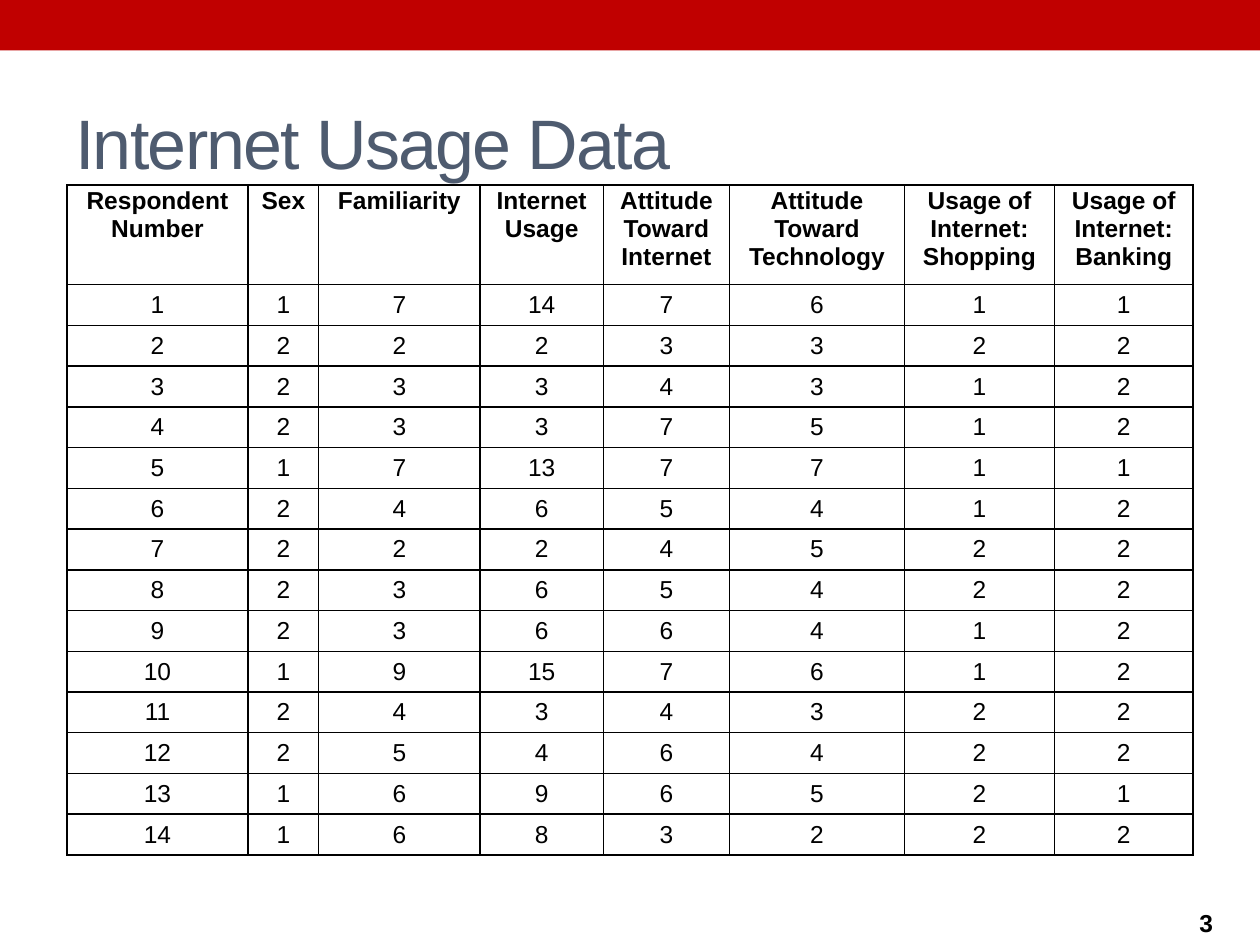
from pptx import Presentation
from pptx.dml.color import RGBColor
from pptx.enum.shapes import MSO_SHAPE
from pptx.enum.text import MSO_ANCHOR, PP_ALIGN
from pptx.oxml import parse_xml
from pptx.oxml.ns import nsdecls
from pptx.util import Inches, Pt

RECTANGLE = MSO_SHAPE.RECTANGLE
MIDDLE, TOP = MSO_ANCHOR.MIDDLE, MSO_ANCHOR.TOP
CENTER = PP_ALIGN.CENTER

RED = RGBColor(0xC0, 0x00, 0x00)
SLATE = RGBColor(0x4E, 0x5B, 0x6F)
BLACK = RGBColor(0x00, 0x00, 0x00)

TABLE_HEIGHT, HEADER_HEIGHT = 5.32, 0.79
COLUMN_WIDTHS = [1.44, 0.56, 1.28, 0.98, 1, 1.39, 1.19, 1.1]
HEADINGS = [
    "Respondent\nNumber", "Sex", "Familiarity", "Internet\nUsage",
    "Attitude\nToward\nInternet", "Attitude\nToward\nTechnology",
    "Usage of\nInternet:\nShopping", "Usage of\nInternet:\nBanking",
]
# One row per respondent, numbered from 1
ANSWERS = [
    (1, 7, 14, 7, 6, 1, 1),
    (2, 2, 2, 3, 3, 2, 2),
    (2, 3, 3, 4, 3, 1, 2),
    (2, 3, 3, 7, 5, 1, 2),
    (1, 7, 13, 7, 7, 1, 1),
    (2, 4, 6, 5, 4, 1, 2),
    (2, 2, 2, 4, 5, 2, 2),
    (2, 3, 6, 5, 4, 2, 2),
    (2, 3, 6, 6, 4, 1, 2),
    (1, 9, 15, 7, 6, 1, 2),
    (2, 4, 3, 4, 3, 2, 2),
    (2, 5, 4, 6, 4, 2, 2),
    (1, 6, 9, 6, 5, 2, 1),
    (1, 6, 8, 3, 2, 2, 2),
]


def set_all(target, values):
    for name, value in values.items():
        setattr(target, name, value)


class SlideBuilder:
    font_name = "Arial"
    cell_format = {
        "margin_left": Inches(0.05), "margin_right": Inches(0.05),
        "margin_top": Inches(0.02), "margin_bottom": Inches(0.02),
        "vertical_anchor": TOP,
    }

    def __init__(self, slide):
        self.slide = slide

    def style_font(self, font, size, color, bold):
        set_all(font, {"name": self.font_name, "size": Pt(size), "bold": bold})
        font.color.rgb = color

    def band(self, left, top, width, height, color):
        band = self.slide.shapes.add_shape(
            RECTANGLE, Inches(left), Inches(top), Inches(width), Inches(height))
        band.shadow.inherit = False
        band.fill.solid()
        band.fill.fore_color.rgb = color
        band.line.fill.background()

    def text(self, content, left, top, width, height, size, color,
             bold=False, spacing=0):
        frame = self.slide.shapes.add_textbox(
            Inches(left), Inches(top), Inches(width), Inches(height)).text_frame
        set_all(frame, {"word_wrap": True, "vertical_anchor": MIDDLE})
        run = frame.paragraphs[0].add_run()
        run.text = content
        self.style_font(run.font, size, color, bold)
        if spacing:
            run.font._element.set("spc", str(spacing * 100))

    def border(self, cell):
        properties = cell._tc.get_or_add_tcPr()
        # Border lines come before the fill in the cell properties
        for position, side in enumerate(("lnL", "lnR", "lnT", "lnB")):
            properties.insert(position, parse_xml(
                f'<a:{side} {nsdecls("a")} w="{Pt(1)}"><a:solidFill>'
                f'<a:srgbClr val="{BLACK}"/></a:solidFill></a:{side}>'))

    def cell(self, cell, content, bold, line_spacing):
        set_all(cell, self.cell_format)
        cell.fill.background()
        self.border(cell)
        cell.text_frame.text = content
        for paragraph in cell.text_frame.paragraphs:
            set_all(paragraph, {"alignment": CENTER, "line_spacing": line_spacing})
            self.style_font(paragraph.runs[0].font, 14, BLACK, bold)

    def table(self, rows, left, top, widths, heights):
        table = self.slide.shapes.add_table(
            len(rows), len(widths), Inches(left), Inches(top),
            Inches(sum(widths)), Inches(sum(heights))).table
        set_all(table, {"first_row": False, "horz_banding": False})
        for column, width in zip(table.columns, widths):
            column.width = Inches(width)
        for index, (values, height) in enumerate(zip(rows, heights)):
            table.rows[index].height = Inches(height)
            is_header = index == 0
            for cell, value in zip(table.rows[index].cells, values):
                self.cell(cell, str(value), is_header, None if is_header else 1.15)


def main():
    deck = Presentation()
    set_all(deck, {"slide_width": Inches(10), "slide_height": Inches(7.5)})
    builder = SlideBuilder(deck.slides.add_slide(deck.slide_layouts[6]))

    # Top band
    builder.band(0, 0, 10, 0.4, RED)

    # Survey table
    respondents = [(number, *answers) for number, answers in enumerate(ANSWERS, 1)]
    row_height = (TABLE_HEIGHT - HEADER_HEIGHT) / len(respondents)
    heights = [HEADER_HEIGHT] + [row_height] * len(respondents)
    builder.table([HEADINGS] + respondents, 0.53, 1.47, COLUMN_WIDTHS, heights)

    # Slide number and title
    builder.text("3", 9.42, 7.14, 1.17, 0.36, 14, BLACK, bold=True)
    builder.text("Internet Usage Data", 0.5, 0.58, 9, 1.08, 40, SLATE, spacing=-1)

    deck.save("out.pptx")


if __name__ == "__main__":
    main()
